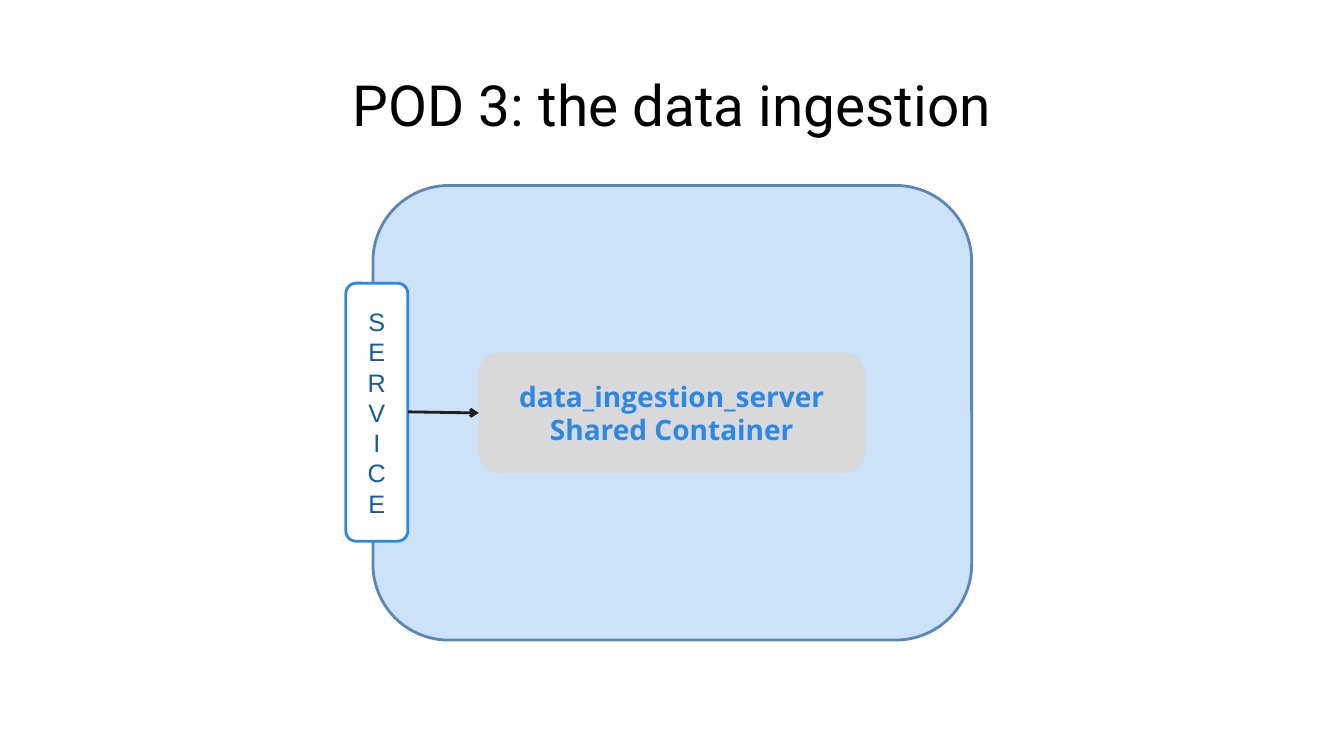
from lxml import etree
from pptx import Presentation
from pptx.dml.color import RGBColor
from pptx.enum.shapes import MSO_CONNECTOR as Connector, MSO_SHAPE as Shape
from pptx.enum.text import MSO_ANCHOR as Anchor, PP_ALIGN as Align
from pptx.oxml.ns import qn
from pptx.util import Pt

COLORS = {
    "title": "000000",
    "pod": "CBE2F9",
    "pod_line": "5C87B1",
    "service": "FFFFFF",
    "accent": "2C88E5",
    "service_text": "145BA2",
    "container": "D9D9D9",
    "arrow": "202020",
}


def color(name):
    return RGBColor.from_string(COLORS[name])


def write_text(shape, lines, *, font, size, ink, bold=False, anchor=Anchor.MIDDLE):
    frame = shape.text_frame
    frame.word_wrap = True
    frame.vertical_anchor = anchor
    frame.text = "\n".join(lines)
    for paragraph in frame.paragraphs:
        paragraph.alignment = Align.CENTER
        paragraph.font.name = font
        paragraph.font.size = Pt(size)
        paragraph.font.bold = bold
        paragraph.font.color.rgb = color(ink)


def add_box(slide, left, top, width, height, fill, line=None):
    shape = slide.shapes.add_shape(
        Shape.ROUNDED_RECTANGLE, Pt(left), Pt(top), Pt(width), Pt(height))
    shape.shadow.inherit = False
    shape.fill.solid()
    shape.fill.fore_color.rgb = color(fill)
    if line:
        shape.line.color.rgb = color(line)
        shape.line.width = Pt(2)
    else:
        shape.line.fill.background()
    return shape


def add_arrow(slide, start, end):
    arrow = slide.shapes.add_connector(
        Connector.STRAIGHT, *(Pt(length) for length in start + end))
    arrow.line.color.rgb = color("arrow")
    arrow.line.width = Pt(2)
    outline = arrow.line._get_or_add_ln()
    etree.SubElement(outline, qn("a:tailEnd"), type="arrow", w="med", len="med")
    etree.SubElement(arrow._element.spPr, qn("a:effectLst"))


def set_title(slide, text):
    title = slide.shapes.title
    title.left, title.top = Pt(28.8), Pt(37.5)
    title.width, title.height = Pt(902.9), Pt(64.8)
    write_text(title, [text], font="Roboto", size=40.5, ink="title",
               anchor=Anchor.BOTTOM)


def main():
    presentation = Presentation()
    presentation.slide_width, presentation.slide_height = Pt(960), Pt(540)
    slide = presentation.slides.add_slide(presentation.slide_layouts[5])
    set_title(slide, "POD 3: the data ingestion")

    # Pod with its service on the left edge
    add_box(slide, 266.4, 132.5, 427.7, 324.7, "pod", "pod_line")
    service = add_box(slide, 247, 202.3, 44.3, 184.3, "service", "accent")
    write_text(service, "SERVICE", font="Arial", size=18, ink="service_text")

    # Container inside the pod
    container = add_box(slide, 342, 252, 275.8, 85.7, "container")
    write_text(container, ["data_ingestion_server", "Shared Container"],
               font="Open Sans", size=20, ink="accent", bold=True)

    # Traffic from the service to the container
    add_arrow(slide, (291.6, 294.2), (342, 295))

    presentation.save("out.pptx")


if __name__ == "__main__":
    main()
